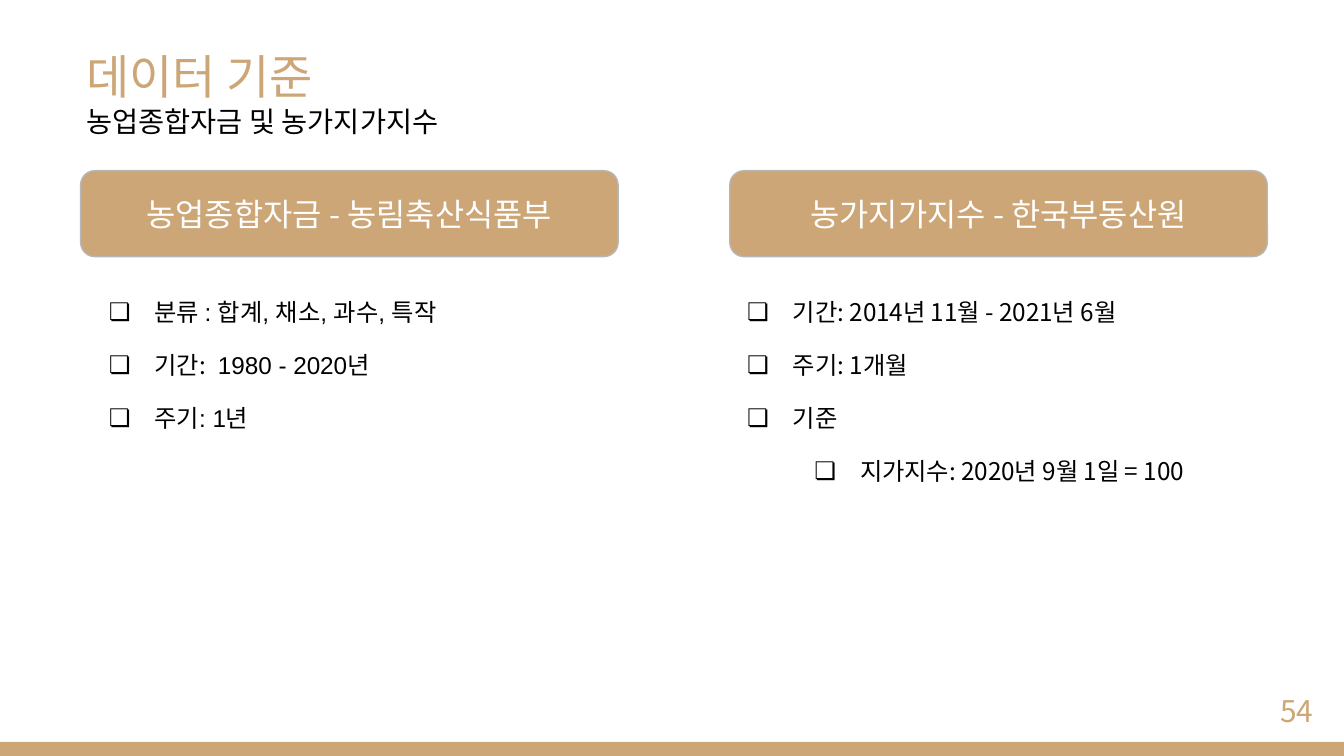
from lxml import etree
from pptx import Presentation
from pptx.dml.color import RGBColor
from pptx.enum import shapes, text
from pptx.oxml import ns
from pptx.util import Inches, Pt

TAN = RGBColor(0xCC, 0xA6, 0x77)
GRAY = RGBColor(0xB7, 0xB7, 0xB7)
BLACK = RGBColor(0, 0, 0)
WHITE = RGBColor(0xFF, 0xFF, 0xFF)
NOTO = "Noto Sans CJK KR"
ARIAL = "Arial"

TITLE = "데이터 기준"
SUB = "농업종합자금 및 농가지가지수"
PAGE = "54"

# Each list item: level, then (text, font) runs
COLS = [
    dict(head="농업종합자금 - 농림축산식품부", box=0.6, left=0.55, items=[
        (0, [("분류 : 합계, 채소, 과수, 특작", ARIAL)]),
        (0, [("기간: ", NOTO), (" 1980 - 2020년", ARIAL)]),
        (0, [("주기: 1년", ARIAL)]),
    ]),
    dict(head="농가지가지수 - 한국부동산원", box=5.43, left=5.3, items=[
        (0, [("기간: 2014년 11월 - 2021년 6월", NOTO)]),
        (0, [("주기: 1개월", NOTO)]),
        (0, [("기준", NOTO)]),
        (1, [("지가지수: 2020년 9월 1일 = 100", NOTO)]),
    ]),
]


def place(shape, x, y, w, h):
    shape.left, shape.top = Inches(x), Inches(y)
    shape.width, shape.height = Inches(w), Inches(h)


def frame(shape, anchor):
    """Wrap the text, fix its margins and return the text frame."""
    tf = shape.text_frame
    tf.word_wrap = True
    tf.auto_size = text.MSO_AUTO_SIZE.NONE
    tf.vertical_anchor = anchor
    tf.margin_left = tf.margin_right = Inches(0.1)
    tf.margin_top = tf.margin_bottom = Inches(0.1)
    return tf


def write(par, words, size, color, font=NOTO, align=text.PP_ALIGN.LEFT,
          line=1.0, before=0, after=0):
    par.alignment = align
    par.line_spacing = line
    par.space_before, par.space_after = Pt(before), Pt(after)
    run = par.add_run()
    run.text = words
    run.font.size = Pt(size)
    run.font.name = font
    run.font.color.rgb = color
    props = run.font._element
    props.set("kern", "0")
    etree.SubElement(props, ns.qn("a:ea"), typeface=NOTO)


def bullet(par, level):
    par.level = level
    props = par._p.get_or_add_pPr()
    props.set("marL", str(Inches(0.5 * (level + 1))))
    props.set("indent", str(Inches(-0.34)))
    tint = etree.SubElement(props, ns.qn("a:buClr"))
    etree.SubElement(tint, ns.qn("a:srgbClr"), val=str(BLACK))
    etree.SubElement(props, ns.qn("a:buFont"), typeface=ARIAL)
    etree.SubElement(props, ns.qn("a:buChar"), char="❏")


def add_box(slide, kind, fill, x, y, w, h):
    box = slide.shapes.add_shape(
        kind, Inches(x), Inches(y), Inches(w), Inches(h))
    box.shadow.inherit = False
    box.fill.solid()
    box.fill.fore_color.rgb = fill
    box.line.fill.background()
    return box


def add_head(slide, words, x):
    box = add_box(slide, shapes.MSO_SHAPE.ROUNDED_RECTANGLE, TAN,
                  x, 1.27, 4, 0.64)
    box.line.color.rgb = GRAY
    box.line.width = Pt(0.75)
    tf = frame(box, text.MSO_ANCHOR.MIDDLE)
    write(tf.paragraphs[0], words, 17, WHITE, align=text.PP_ALIGN.CENTER)


def fill_list(body, items, x):
    place(body, x, 2.05, 4.13, 3.36)
    tf = frame(body, text.MSO_ANCHOR.TOP)
    for i, (level, runs) in enumerate(items):
        par = tf.add_paragraph() if i else tf.paragraphs[0]
        for words, font in runs:
            write(par, words, 13, BLACK, font=font, line=1.3,
                  before=8 if i else 0,
                  after=8 if i == len(items) - 1 else 0)
        bullet(par, level)


def main():
    prs = Presentation()
    prs.slide_width = Inches(10)
    prs.slide_height = prs.slide_width * 9 // 16
    slide = prs.slides.add_slide(prs.slide_layouts[3])

    add_box(slide, shapes.MSO_SHAPE.RECTANGLE, TAN, 0, 5.52, 10, 0.11)

    title = slide.shapes.title
    place(title, 0.54, 0.24, 6.43, 0.9)
    tf = frame(title, text.MSO_ANCHOR.MIDDLE)
    write(tf.paragraphs[0], TITLE, 25.2, TAN)
    write(tf.add_paragraph(), SUB, 15.2, BLACK)

    for i, col in enumerate(COLS, 1):
        add_head(slide, col["head"], col["box"])
        fill_list(slide.placeholders[i], col["items"], col["left"])

    page = slide.shapes.add_textbox(0, 0, 0, 0)
    place(page, 9.27, 5.1, 0.6, 0.43)
    tf = frame(page, text.MSO_ANCHOR.MIDDLE)
    write(tf.paragraphs[0], PAGE, 16, TAN,
          align=text.PP_ALIGN.RIGHT, line=0.8)

    prs.save("out.pptx")


if __name__ == "__main__":
    main()
